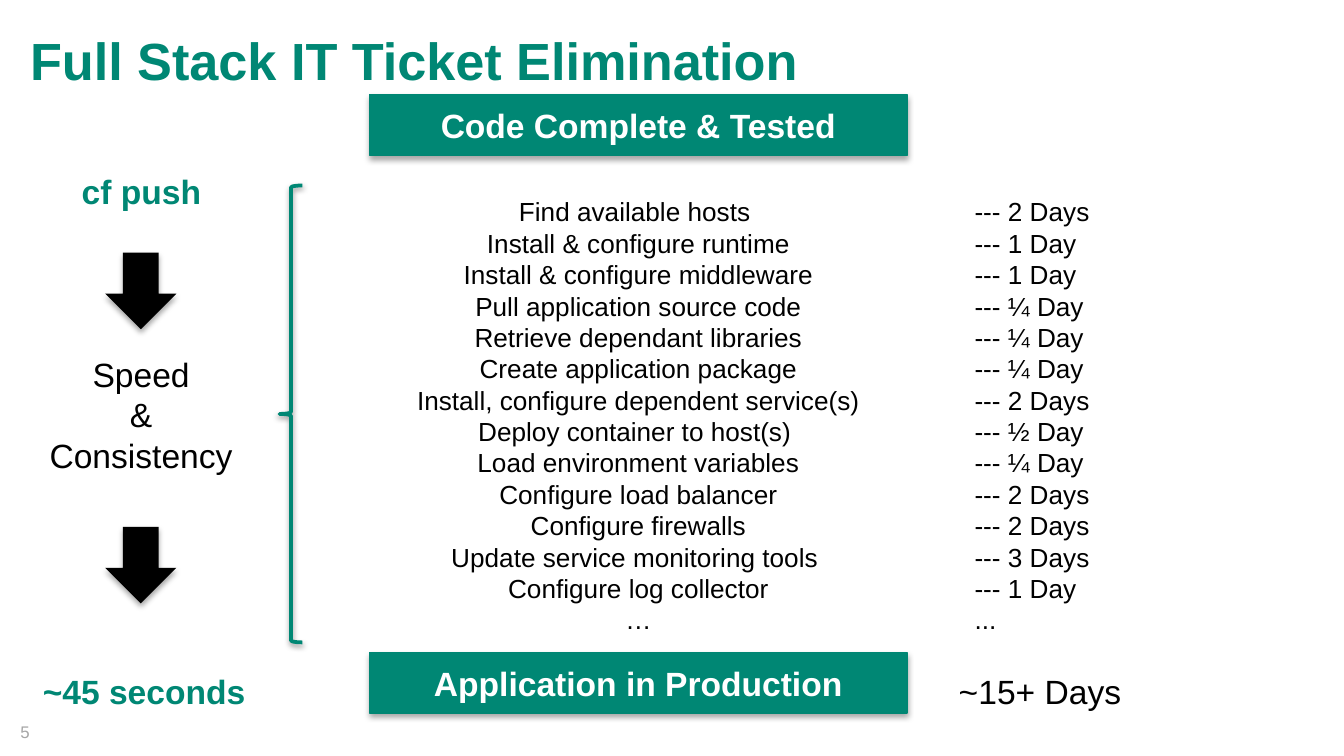
from dataclasses import dataclass

from lxml.etree import SubElement
from pptx import Presentation
from pptx.dml.color import RGBColor
from pptx.enum.shapes import MSO_SHAPE
from pptx.enum.text import MSO_ANCHOR, PP_ALIGN
from pptx.oxml.ns import qn
from pptx.util import Inches, Pt

# The slide is a grid of square cells, 100 columns by 56.25 rows.
CELL = 0.1
COLUMNS, ROWS = 100, 56.25

FONT = "Arial"
GREEN, DARK_GREEN = "008774", "008673"
BLACK, WHITE, GREY = "000000", "FFFFFF", "A6A6A6"


@dataclass(frozen=True)
class Area:
    column: float
    row: float
    columns: float
    rows: float

    def lengths(self) -> list[int]:
        cells = (self.column, self.row, self.columns, self.rows)
        return [Inches(count * CELL) for count in cells]


@dataclass(frozen=True)
class Step:
    task: str
    duration: str


@dataclass(frozen=True)
class Label:
    area: Area
    text: str
    size: float = 18
    color: str = BLACK
    bold: bool = False
    centred: bool = False


STEPS = [
    Step("Find available hosts ", "--- 2 Days"),
    Step("Install & configure runtime", "--- 1 Day"),
    Step("Install & configure middleware", "--- 1 Day"),
    Step("Pull application source code", "--- ¼ Day"),
    Step("Retrieve dependant libraries", "--- ¼ Day"),
    Step("Create application package", "--- ¼ Day"),
    Step("Install, configure dependent service(s)", "--- 2 Days"),
    Step("Deploy container to host(s) ", "--- ½ Day"),
    Step("Load environment variables", "--- ¼ Day"),
    Step("Configure load balancer", "--- 2 Days"),
    Step("Configure firewalls", "--- 2 Days"),
    Step("Update service monitoring tools ", "--- 3 Days"),
    Step("Configure log collector", "--- 1 Day"),
    Step("…", "..."),
]
TASKS = "\n".join(step.task for step in STEPS)
DURATIONS = "\n".join(step.duration for step in STEPS)

LABELS = [
    Label(Area(1.25, 1.6, 96.2, 5.2), "Full Stack IT Ticket Elimination", 28, GREEN, bold=True),
    Label(Area(5.1, 12.2, 11, 4), "cf push", color=GREEN, bold=True),
    Label(Area(2.2, 49.4, 17.2, 4), "~45 seconds", color=GREEN, bold=True),
    Label(Area(70.35, 49.4, 14.2, 4), "~15+ Days"),
    Label(Area(29.9, 14.08, 35.2, 34), TASKS, 14, centred=True),
    Label(Area(71.53, 14.08, 10.6, 34), DURATIONS, 14),
    Label(Area(2.6, 25.84, 15.8, 10.1), "Speed\n&\nConsistency", centred=True),
    Label(Area(0.53, 53.2, 4.1, 3), "5", 9, GREY),
]
BANNERS = {7.05: "Code Complete & Tested", 48.54: "Application in Production"}
ARROW_ROWS = (18.8, 39.2)
BRACE = Area(20.8, 13.8, 1.7, 34)


def rgb(color: str) -> RGBColor:
    return RGBColor.from_string(color)


def write_text(frame, text: str, *, size: float = 18, color: str = BLACK,
               bold: bool = False, centred: bool = False) -> None:
    """Fill a text frame with one paragraph for each line of text."""
    frame.word_wrap = True
    for index, line in enumerate(text.split("\n")):
        para = frame.paragraphs[0] if index == 0 else frame.add_paragraph()
        para.alignment = PP_ALIGN.CENTER if centred else PP_ALIGN.LEFT
        span = para.add_run()
        span.text = line
        span.font.name = FONT
        span.font.size = Pt(size)
        span.font.bold = bold
        span.font.color.rgb = rgb(color)


def add_label(page, label: Label) -> None:
    box = page.shapes.add_textbox(*label.area.lengths())
    write_text(box.text_frame, label.text, size=label.size, color=label.color,
               bold=label.bold, centred=label.centred)


def add_shadow(shape, opacity: int, distance: float) -> None:
    """Drop a soft black shadow straight down; opacity is in percent."""
    shape.shadow.inherit = False
    effects = shape._element.spPr.find(qn("a:effectLst"))
    shadow = SubElement(effects, qn("a:outerShdw"), blurRad=str(Pt(3.1)),
                        dist=str(Pt(distance)), dir=str(90 * 60000), rotWithShape="0")
    tint = SubElement(shadow, qn("a:srgbClr"), val=BLACK)
    SubElement(tint, qn("a:alpha"), val=str(opacity * 1000))


def add_shape(page, kind: MSO_SHAPE, area: Area, *, fill: str | None = None,
              line: str | None = None, line_width: float = 0.75,
              opacity: int = 35, distance: float = 1.8):
    shape = page.shapes.add_shape(kind, *area.lengths())
    if fill:
        shape.fill.solid()
        shape.fill.fore_color.rgb = rgb(fill)
    else:
        shape.fill.background()
    if line:
        shape.line.color.rgb = rgb(line)
        shape.line.width = Pt(line_width)
    else:
        shape.line.fill.background()
    add_shadow(shape, opacity, distance)
    return shape


def add_banner(page, row: float, text: str) -> None:
    banner = add_shape(page, MSO_SHAPE.FLOWCHART_PROCESS, Area(27.5, row, 40, 4.5),
                       fill=GREEN, line=DARK_GREEN)
    banner.text_frame.vertical_anchor = MSO_ANCHOR.MIDDLE
    write_text(banner.text_frame, text, color=WHITE, bold=True, centred=True)


def add_brace(page) -> None:
    brace = add_shape(page, MSO_SHAPE.RIGHT_BRACE, BRACE, line=GREEN,
                      line_width=2, opacity=38, distance=1.6)
    brace.rotation = 180


def main() -> None:
    deck = Presentation()
    deck.slide_width = Inches(COLUMNS * CELL)
    deck.slide_height = Inches(ROWS * CELL)
    page = deck.slides.add_slide(deck.slide_layouts[6])
    for label in LABELS:
        add_label(page, label)
    for row, text in BANNERS.items():
        add_banner(page, row, text)
    add_brace(page)
    for row in ARROW_ROWS:
        add_shape(page, MSO_SHAPE.DOWN_ARROW, Area(7.83, row, 5.3, 5.7), fill=BLACK)
    deck.save("out.pptx")


if __name__ == "__main__":
    main()
